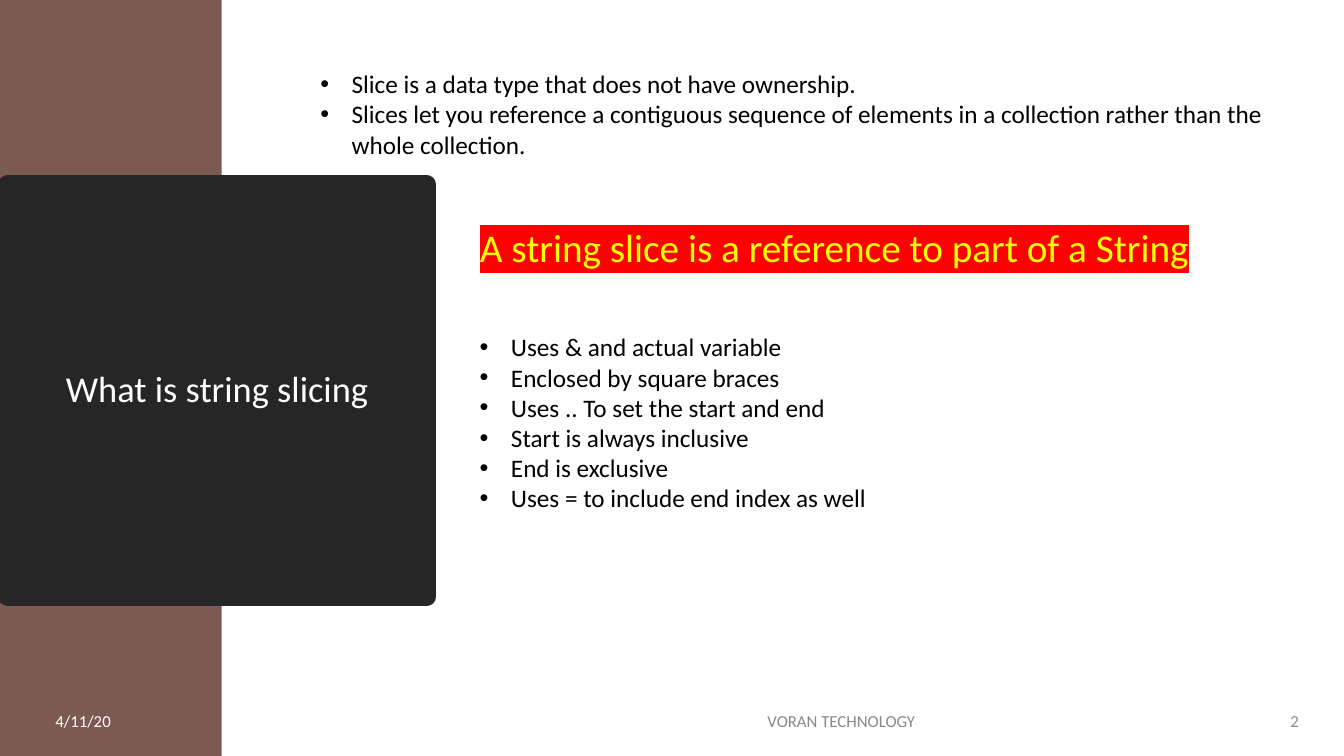
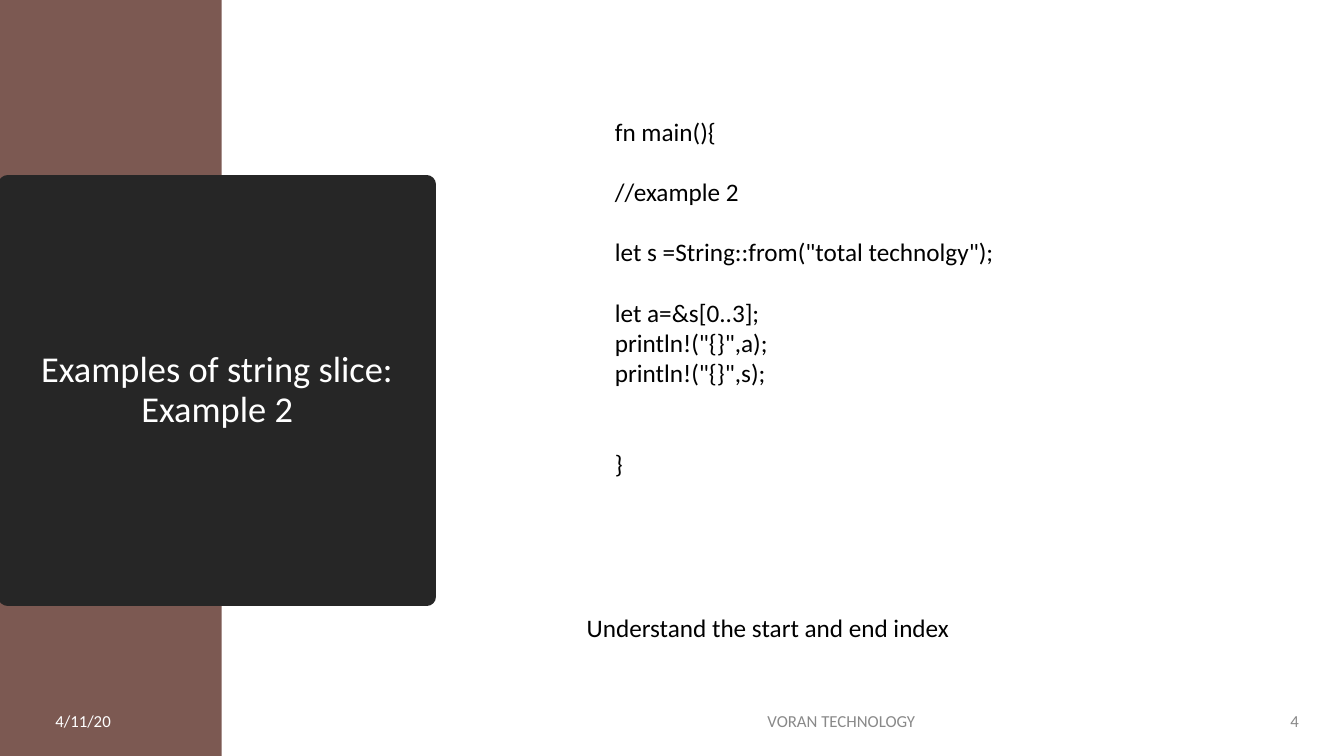
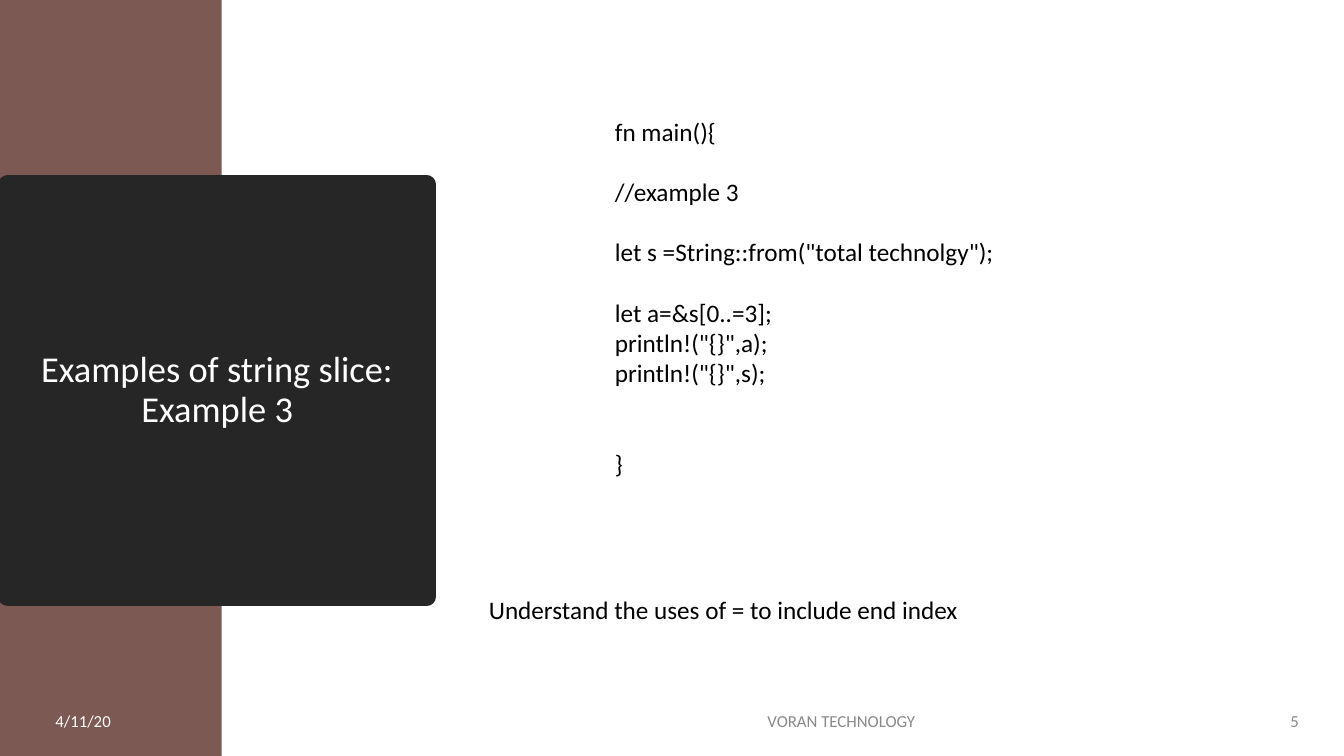
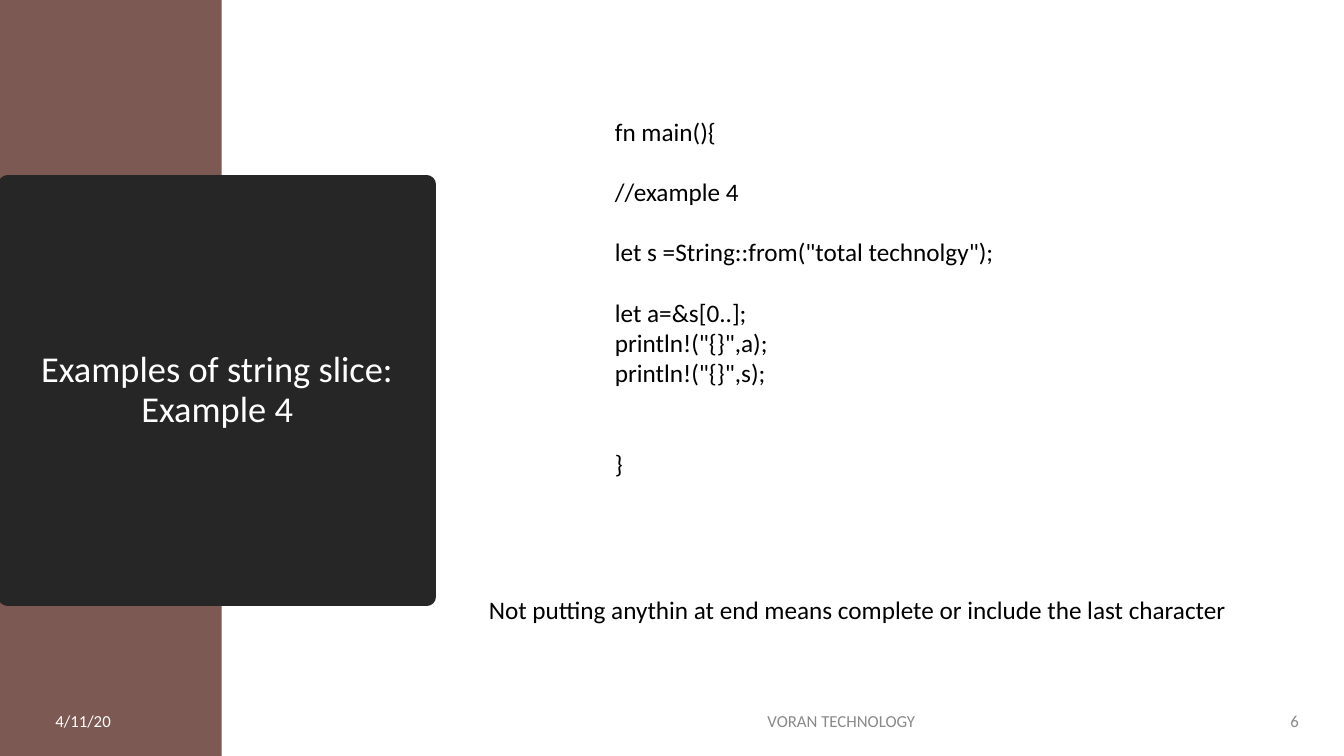
from lxml import etree
from pptx import Presentation
from pptx.dml.color import RGBColor
from pptx.enum.shapes import MSO_SHAPE
from pptx.enum.text import MSO_ANCHOR, MSO_AUTO_SIZE, PP_ALIGN
from pptx.oxml.ns import qn
from pptx.util import Inches, Pt

RECT = MSO_SHAPE.RECTANGLE
TOP, MIDDLE = MSO_ANCHOR.TOP, MSO_ANCHOR.MIDDLE
LEFT, CENTER, RIGHT = PP_ALIGN.LEFT, PP_ALIGN.CENTER, PP_ALIGN.RIGHT
NO_FIT = MSO_AUTO_SIZE.NONE

FONT = "Calibri"
COLORS = {
    "band": "7C5952", "panel": "262626", "white": "FFFFFF", "black": "000000",
    "grey": "898989", "yellow": "FFFF00", "red": "FF0000",
}
LINE = 21.6  # height of one 18 pt line, in points
HANG = 0.31  # hanging indent of a bullet, in inches
DATE, FOOTER = "4/11/20", "VORAN TECHNOLOGY"


def color(name):
    return RGBColor.from_string(COLORS[name])


def place(shape, box):
    shape.left, shape.top, shape.width, shape.height = map(Inches, box)


def paint(shape, name, width=0):
    shape.fill.solid()
    shape.fill.fore_color.rgb = color(name)
    if width:
        shape.line.color.rgb = color(name)
        shape.line.width = Pt(width)
    else:
        shape.line.fill.background()


def mark(para, bullet):
    """Set or clear the bullet of a paragraph."""
    props = para._p.get_or_add_pPr()
    indent = Inches(HANG) if bullet else 0
    props.set("marL", str(indent))
    props.set("indent", str(-indent))
    if bullet:
        etree.SubElement(props, qn("a:buFont")).set("typeface", "Arial")
        etree.SubElement(props, qn("a:buChar")).set("char", "•")
    else:
        etree.SubElement(props, qn("a:buNone"))


def shade(run, name):
    """Highlight a run."""
    light = etree.Element(qn("a:highlight"))
    etree.SubElement(light, qn("a:srgbClr")).set("val", COLORS[name])
    run.font._element.find(qn("a:solidFill")).addnext(light)


def write(shape, lines, size=18, ink="black", align=LEFT, anchor=TOP,
          space=1, after=0, bullet=False, light=None):
    """Fill a shape with lines: each a text, or (text, blank lines before)."""
    frame = shape.text_frame
    frame.word_wrap = True
    frame.auto_size = NO_FIT
    frame.vertical_anchor = anchor
    for i, line in enumerate(lines):
        text, gap = line if isinstance(line, tuple) else (line, 0)
        para = frame.add_paragraph() if i else frame.paragraphs[0]
        mark(para, bullet)
        para.alignment = align
        para.line_spacing = space
        para.space_before = Pt(gap * LINE)
        para.space_after = Pt(after)
        run = para.add_run()
        run.text = text
        run.font.name = FONT
        run.font.size = Pt(size)
        run.font.color.rgb = color(ink)
        if light:
            shade(run, light)


def label(slide, box, lines, **style):
    write(slide.shapes.add_textbox(*map(Inches, box)), lines, **style)


def foot(slide, box, number):
    """Date, footer and page number along the given strip."""
    left, top, width, height = box
    parts = [
        (left, 1.62, DATE, "white", LEFT),
        (left + 4.05, 7.69, FOOTER, "grey", CENTER),
        (left + width - 0.61, 0.61, str(number), "grey", RIGHT),
    ]
    for x, wide, text, ink, align in parts:
        label(slide, (x, top, wide, height), [text], size=12, ink=ink,
              align=align, anchor=MIDDLE, after=6)


def start(deck, layout, title, number):
    """A new slide with side band, title panel and footer."""
    slide = deck.slides.add_slide(deck.slide_layouts.get_by_name(layout))
    # Side band, behind the title
    band = slide.shapes.add_shape(RECT, 0, 0, Inches(2.2), deck.slide_height)
    band.shadow.inherit = False
    paint(band, "band")
    band.element.getparent().insert(2, band.element)
    # Title panel; the thick line rounds its corners
    panel = slide.shapes.title
    place(panel, (0.08, 1.83, 4.15, 4.09))
    paint(panel, "panel", 13.75)
    write(panel, [title], size=26, ink="white", align=CENTER,
          anchor=MIDDLE, space=0.9)
    foot(slide, (0.45, 6.95, 12.53, 0.4), number)
    return slide


def define(deck):
    slide = start(deck, "Title and Content", "What is string slicing", 2)
    # Key statement
    body = slide.placeholders[1]
    place(body, (4.66, 2.22, 7.53, 0.52))
    write(body, ["A string slice is a reference to part of a String"],
          size=28, ink="yellow", space=0.9, light="red")
    # Meaning
    label(slide, (3.08, 0.63, 9.9, 1.31), [
        "Slice is a data type that does not have ownership.",
        "Slices let you reference a contiguous sequence of elements in a "
        "collection rather than the whole collection.",
    ], bullet=True)
    # Syntax rules
    label(slide, (4.66, 3.24, 7.03, 1.92), [
        "Uses & and actual variable",
        "Enclosed by square braces",
        "Uses .. To set the start and end",
        "Start is always inclusive",
        "End is exclusive",
        "Uses = to include end index as well",
    ], bullet=True)


def show(deck, count, span, note, left, top):
    """An example slide: code with a note below it."""
    title = f"Examples of string slice: Example {count}"
    slide = start(deck, "Title Only", title, count + 2)
    label(slide, (6, 1.1, 5.62, 4.04), [
        "fn main(){",
        (f"//example {count}", 1),
        ('let s =String::from("total technolgy");', 1),
        (f"let a=&s[{span}];", 1),
        'println!("{}",a);',
        'println!("{}",s);',
        ("}", 2),
    ])
    label(slide, (left, top, 7.61, 0.4), [note])


def main():
    deck = Presentation()
    deck.slide_width, deck.slide_height = Inches(13.33), Inches(7.5)
    define(deck)
    show(deck, 2, "0..3", "Understand the start and end index", 5.72, 6.03)
    show(deck, 3, "0..=3", "Understand the uses of = to include end index",
         4.75, 5.85)
    show(deck, 4, "0..", "Not putting anythin at end means complete or "
         "include the last character", 4.75, 5.85)
    deck.save("out.pptx")


if __name__ == "__main__":
    main()
